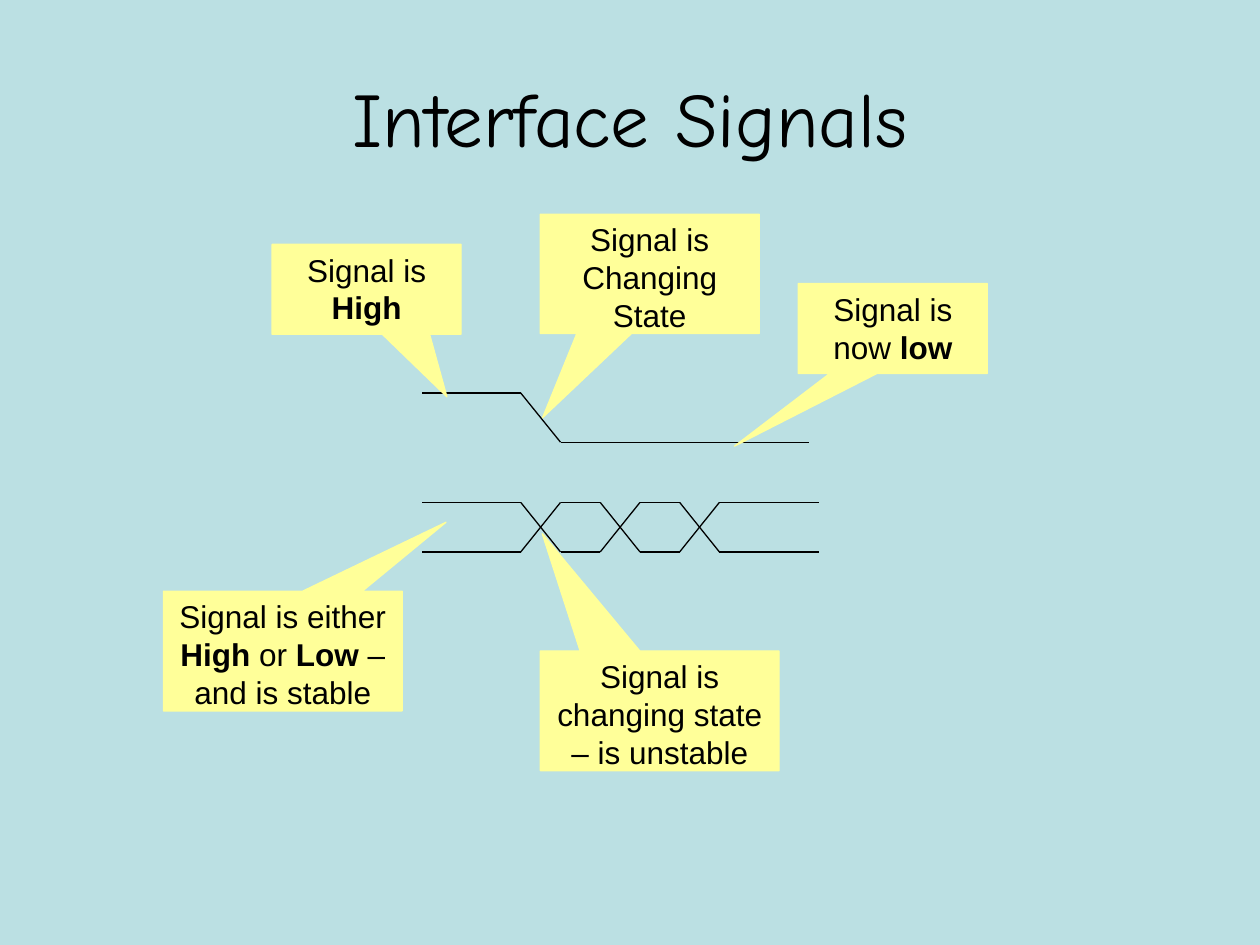
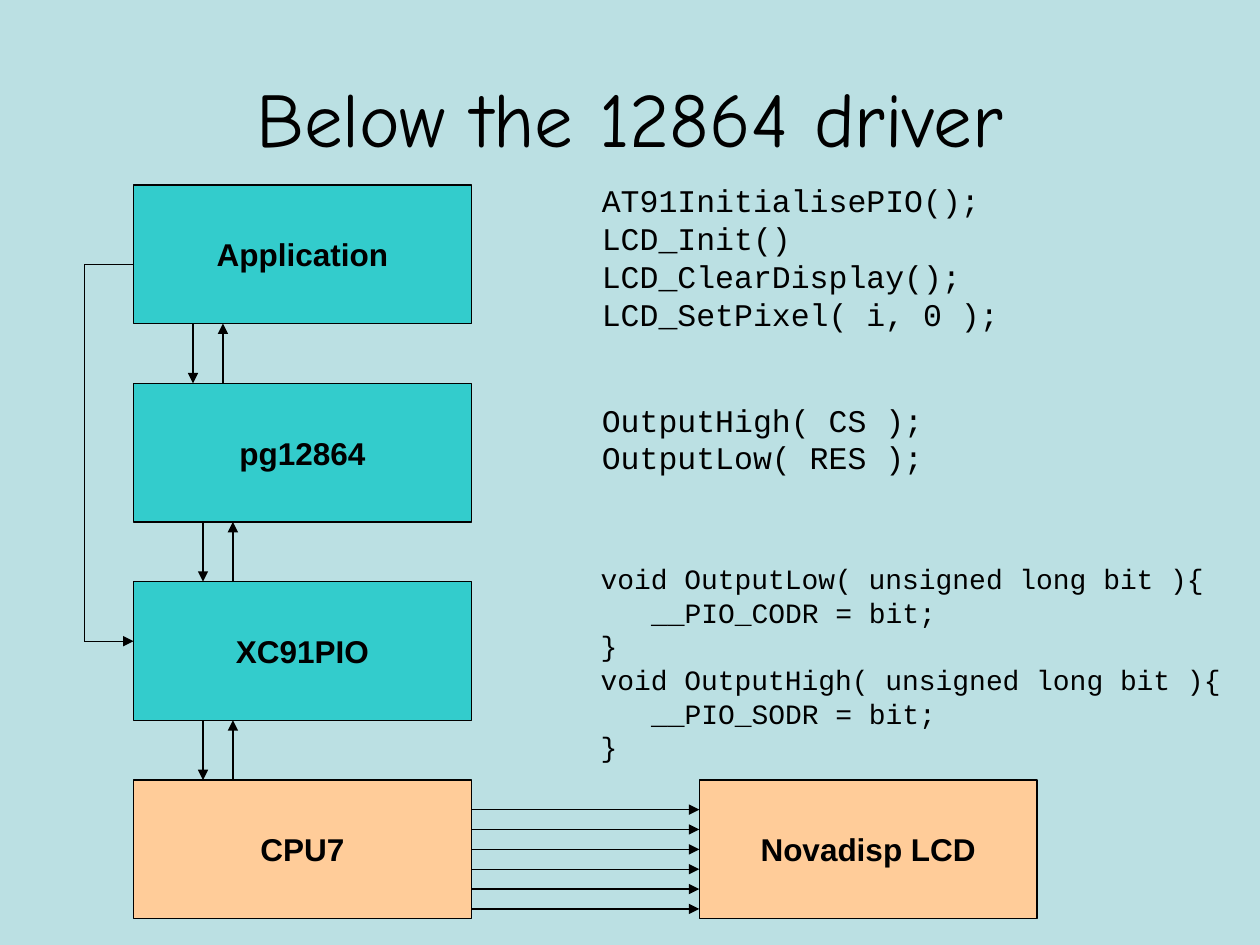
from pptx import Presentation
from pptx.dml.color import RGBColor
from pptx.enum.shapes import MSO_CONNECTOR as CONN, MSO_SHAPE as SHAPE
from pptx.enum.text import MSO_ANCHOR as ANCHOR, MSO_AUTO_SIZE as AUTO, PP_ALIGN as ALIGN
from pptx.oxml.ns import qn
from pptx.util import Pt
from lxml import etree

BACKGROUND, BLACK = "BBE0E3", "000000"
YELLOW, TEAL, ORANGE = "FFFF99", "33CCCC", "FFCC99"
TITLE_FONT, BODY_FONT, CODE_FONT = "Comic Neue", "Arial", "Courier New"


def color(value):
    return RGBColor.from_string(value)


def style_run(r, size, font=BODY_FONT, bold=False):
    r.font.size = Pt(size)
    r.font.name = font
    r.font.bold = bold
    r.font.color.rgb = color(BLACK)


def add_slide(prs, title):
    """Add a blank slide with the shared background and title."""
    s = prs.slides.add_slide(prs.slide_layouts[6])
    s.background.fill.solid()
    s.background.fill.fore_color.rgb = color(BACKGROUND)
    tf = s.shapes.add_textbox(Pt(36), Pt(21.6), Pt(648), Pt(90)).text_frame
    tf.word_wrap = True
    tf.vertical_anchor = ANCHOR.MIDDLE
    p = tf.paragraphs[0]
    p.text = title
    p.alignment = ALIGN.CENTER
    style_run(p.runs[0], 44, TITLE_FONT)
    return s


def add_filled(s, kind, x, y, w, h, fill, line):
    sp = s.shapes.add_shape(kind, Pt(x), Pt(y), Pt(w), Pt(h))
    sp.shadow.inherit = False
    sp.fill.solid()
    sp.fill.fore_color.rgb = color(fill)
    sp.line.color.rgb = color(line)
    sp.line.width = Pt(0.75)
    return sp


def add_callout(s, x, y, w, h, pointer, parts):
    """Add a callout; every second text part is bold."""
    sp = add_filled(s, SHAPE.RECTANGULAR_CALLOUT, x, y, w, h, YELLOW, YELLOW)
    sp.adjustments[0], sp.adjustments[1] = pointer
    tf = sp.text_frame
    tf.word_wrap = True
    tf.vertical_anchor = ANCHOR.TOP
    p = tf.paragraphs[0]
    p.alignment = ALIGN.CENTER
    for i, part in enumerate(parts):
        r = p.add_run()
        r.text = part
        style_run(r, 18, bold=i % 2 == 1)


def add_box(s, x, y, w, h, label, fill):
    sp = add_filled(s, SHAPE.RECTANGLE, x, y, w, h, fill, BLACK)
    tf = sp.text_frame
    tf.word_wrap = False
    tf.vertical_anchor = ANCHOR.MIDDLE
    p = tf.paragraphs[0]
    p.text = label
    p.alignment = ALIGN.CENTER
    style_run(p.runs[0], 18, bold=True)
    return sp


def add_line(s, x1, y1, x2, y2, arrow=False):
    line = s.shapes.add_connector(CONN.STRAIGHT, Pt(x1), Pt(y1), Pt(x2), Pt(y2))
    line.line.color.rgb = color(BLACK)
    line.line.width = Pt(0.75)
    if arrow:
        etree.SubElement(line.line._get_or_add_ln(), qn("a:tailEnd"), type="triangle")
    etree.SubElement(line._element.spPr, qn("a:effectLst"))
    return line


def add_code(s, x, y, w, h, size, lines):
    """Add code lines; a leading tab becomes an indent of three characters."""
    tf = s.shapes.add_textbox(Pt(x), Pt(y), Pt(w), Pt(h)).text_frame
    tf.word_wrap = False
    tf.auto_size = AUTO.SHAPE_TO_FIT_TEXT
    tf.text = "\n".join(line.strip() for line in lines)
    for p, line in zip(tf.paragraphs, lines):
        if line.startswith("\t"):
            p._p.get_or_add_pPr().set("marL", str(Pt(3 * 0.6 * size)))
        style_run(p.runs[0], size, CODE_FONT)


def add_signals_slide(prs):
    s = add_slide(prs, "Interface Signals")
    start, first, step, end = 241.2, 297.6, 22.7, 468
    fall = first + step

    high, low = 224.6, 252.7
    add_line(s, start, high, first, high)
    add_line(s, first, high, fall, low)
    add_line(s, fall, low, 462.2, low)

    high, low = 287.1, 315.4
    for i in range(5):
        x1, x2 = first + i * step, first + (i + 1) * step
        crossing = i % 2 == 0
        add_line(s, x1, high, x2, low if crossing else high)
        add_line(s, x1, low, x2, high if crossing else low)
    for y in (high, low):
        add_line(s, start, y, first, y)
        add_line(s, first + 5 * step, y, end, y)

    callouts = [
        (456.2, 162, 108, 51.4, (-0.838, 1.309), ["Signal is now ", "low"]),
        (155.5, 139.6, 108, 51.4, (0.425, 1.196), ["Signal is ", "High"]),
        (308.8, 122.4, 125, 68.2, (-0.49, 1.206), ["Signal is Changing State"]),
        (93.4, 337.8, 136.4, 68.4, (0.684, -1.076),
         ["Signal is either ", "High", " or ", "Low", " – and is stable"]),
        (308.8, 372, 136.4, 68.4, (-0.492, -1.48),
         ["Signal is changing state – is unstable"]),
    ]
    for callout in callouts:
        add_callout(s, *callout)


def add_driver_slide(prs):
    s = add_slide(prs, "Below the 12864 driver")
    left, width, height = 76.3, 193, 79.2
    lcd_left = 399.6
    tops = [105.7 + 113.35 * i for i in range(4)]
    layers = [("Application", TEAL), ("pg12864", TEAL), ("XC91PIO", TEAL), ("CPU7", ORANGE)]
    boxes = [add_box(s, left, y, width, height, label, fill)
             for y, (label, fill) in zip(tops, layers)]
    lcd = add_box(s, lcd_left, tops[3], width, height, "Novadisp LCD", ORANGE)

    middle = tops[3] + height / 2
    for i in range(-2, 4):
        y = middle + 11.35 * (i)
        bus = add_line(s, left + width, y, lcd_left, y, arrow=True)
        if i == 0:
            bus.begin_connect(boxes[3], 3)
            bus.end_connect(lcd, 1)

    for down_x, upper, lower in zip((110.3, 116, 116), tops, tops[1:]):
        up_x = down_x + 17.1
        add_line(s, down_x, upper + height, down_x, lower, arrow=True)
        add_line(s, up_x, lower, up_x, upper + height, arrow=True)

    bypass_x, bypass_top, bypass_bottom = 48.2, 151, 366.4
    add_line(s, left, bypass_top, bypass_x, bypass_top)
    add_line(s, bypass_x, bypass_top, bypass_x, bypass_bottom)
    add_line(s, bypass_x, bypass_bottom, left, bypass_bottom, arrow=True)

    add_code(s, 336.8, 100.1, 246.2, 93.6, 18, [
        "AT91InitialisePIO();", "LCD_Init()",
        "LCD_ClearDisplay();", "LCD_SetPixel( i, 0 );"])
    add_code(s, 336.8, 225.4, 198, 50.4, 18, ["OutputHigh( CS );", "OutputLow( RES );"])
    add_code(s, 336.2, 317.5, 368.6, 122.4, 16, [
        "void OutputLow( unsigned long bit ){", "\t__PIO_CODR = bit;", "}",
        "void OutputHigh( unsigned long bit ){", "\t__PIO_SODR = bit;", "}"])


def main():
    prs = Presentation()
    prs.slide_width, prs.slide_height = Pt(720), Pt(540)
    add_signals_slide(prs)
    add_driver_slide(prs)
    prs.save("out.pptx")


if __name__ == "__main__":
    main()
